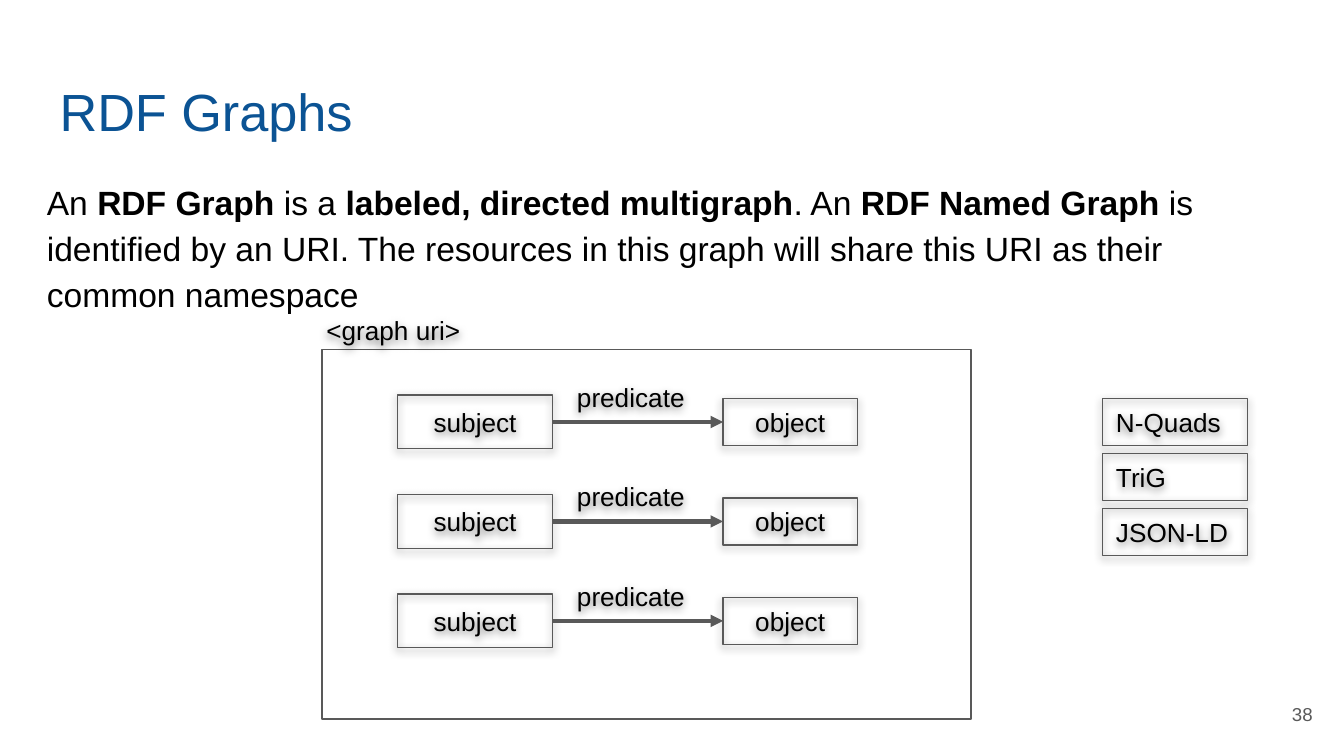
import pptx
import pptx.util
import pptx.dml.color
import pptx.enum.shapes
import pptx.enum.text
import pptx.oxml
import pptx.oxml.ns

PX = 4572  # EMU per px, 200 px to the inch
GREY, BLACK, BLUE = "595959", "000000", "0B5394"
ALIGN = pptx.enum.text.PP_ALIGN
ANCHOR = pptx.enum.text.MSO_ANCHOR
SHADOW = (
    f"<a:effectLst {pptx.oxml.ns.nsdecls('a')}>"
    '<a:outerShdw blurRad="57150" dist="19050" dir="5400000" algn="bl" rotWithShape="0">'
    '<a:srgbClr val="000000"><a:alpha val="50000"/></a:srgbClr>'
    "</a:outerShdw></a:effectLst>"
)


def rgb(value):
    return pptx.dml.color.RGBColor.from_string(value)


def emu(*lengths):
    return [n * PX for n in lengths]


def add_effects(sp, xml=SHADOW):
    sp._element.spPr.append(pptx.oxml.parse_xml(xml))


def write(sp, runs, size=14, color=BLACK, anchor=ANCHOR.TOP, **para):
    """Fill a shape with one paragraph of (text, bold) runs."""
    tf = sp.text_frame
    frame = dict.fromkeys(
        ("margin_left", "margin_top", "margin_right", "margin_bottom"), 20 * PX)
    frame.update(word_wrap=True, vertical_anchor=anchor)
    for name, value in frame.items():
        setattr(tf, name, value)
    p = tf.paragraphs[0]
    for name, value in para.items():
        setattr(p, name, value)
    for text, bold in runs:
        r = p.add_run()
        r.text = text
        font = {"name": "Arial", "size": pptx.util.Pt(size), "bold": bold}
        for name, value in font.items():
            setattr(r.font, name, value)
        r.font.color.rgb = rgb(color)


def add_text(shapes, box, runs, shadow=False, **style):
    sp = shapes.add_textbox(*emu(*box))
    if shadow:
        add_effects(sp)
    write(sp, runs, **style)


def add_box(shapes, box, text="", align=ALIGN.CENTER):
    """Outlined rectangle; a labelled one casts a shadow."""
    sp = shapes.add_shape(pptx.enum.shapes.MSO_SHAPE.RECTANGLE, *emu(*box))
    sp.fill.background()
    sp.line.color.rgb = rgb(GREY)
    sp.line.width = pptx.util.Pt(0.75)
    if text:
        add_effects(sp)
        write(sp, [(text, False)], anchor=ANCHOR.MIDDLE, alignment=align)
    else:
        sp.shadow.inherit = False
    return sp


def add_arrow(shapes, start, end):
    """Arrow from the right side of one box to the left side of another."""
    c = shapes.add_connector(pptx.enum.shapes.MSO_CONNECTOR.STRAIGHT, 0, 0, 0, 0)
    c.begin_connect(start, 3)
    c.end_connect(end, 1)
    c.line.color.rgb = rgb(GREY)
    c.line.width = pptx.util.Pt(2.25)
    c.line._get_or_add_ln().append(pptx.oxml.parse_xml(
        f"<a:tailEnd {pptx.oxml.ns.nsdecls('a')} type='triangle'/>"))
    add_effects(c, f"<a:effectLst {pptx.oxml.ns.nsdecls('a')}/>")


def add_triple(s, x, y):
    shapes = s.shapes.add_group_shape().shapes
    subject = add_box(shapes, (x, y + 41, 230, 80), "subject")
    target = add_box(shapes, (x + 484, y + 46, 200, 70), "object")
    add_text(shapes, (x + 247, y, 220, 70), [("predicate", False)], shadow=True)
    add_arrow(shapes, subject, target)


def add_graph(s, x, y, w, h):
    add_box(s.shapes, (x, y, w, h))
    for i in range(3):
        add_triple(s, x + 113, y + 27 + 148 * i)
    add_text(s.shapes, (x - 13, y - 72, 848, 98), [("<graph uri>", False)], shadow=True)


def add_formats(s, x, y, w, h):
    row = 70
    names = ("N-Quads", "TriG", "JSON-LD")
    for i, name in enumerate(names):
        top = y + i * (h - row) // (len(names) - 1)
        add_box(s.shapes, (x, top, w, row), name, ALIGN.LEFT)


def main():
    prs = pptx.Presentation()
    prs.slide_width, prs.slide_height = emu(2000, 1125)
    s = prs.slides.add_slide(prs.slide_layouts[6])

    # Title and definition
    add_text(s.shapes, (69, 98, 1864, 126), [("RDF Graphs", False)], size=28, color=BLUE)
    add_text(s.shapes, (50, 241, 1864, 216), [
        ("An ", False),
        ("RDF Graph ", True),
        ("is a ", False),
        ("labeled, directed multigraph", True),
        (". An ", False),
        ("RDF Named Graph", True),
        (" is identified by an URI. The resources in this graph will share this URI"
         " as their common namespace", False),
    ], size=18, line_spacing=1.15, space_after=pptx.util.Pt(16))

    # Named graph with its triples, and the serialization formats
    add_graph(s, 479, 520, 966, 550)
    add_formats(s, 1641, 593, 215, 234)

    # Slide number
    add_text(s.shapes, (1853, 1020, 120, 86), [("38", False)], size=10, color=GREY,
             anchor=ANCHOR.MIDDLE, alignment=ALIGN.RIGHT)

    prs.save("out.pptx")


if __name__ == "__main__":
    main()
